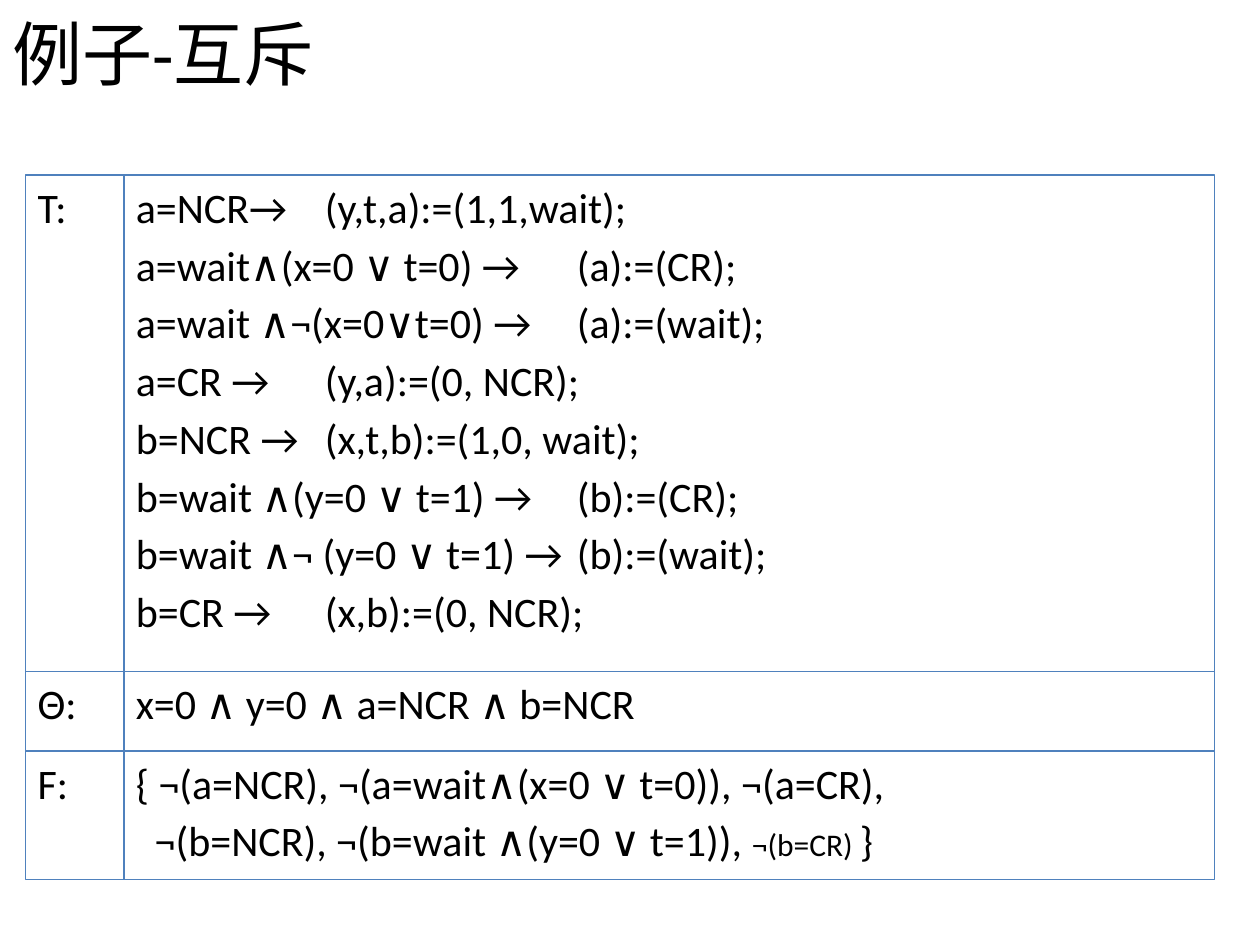
from lxml.etree import SubElement
from pptx import Presentation
from pptx.dml.color import RGBColor as Rgb
from pptx.enum.shapes import MSO_SHAPE as Preset
from pptx.enum.text import MSO_ANCHOR as Anchor, PP_ALIGN as Align
from pptx.oxml.ns import qn
from pptx.util import Inches, Pt

COLORS = {"ink": "000000", "rule": "4F81BD"}
FONT = "Calibri"
NEAR, FAR = 3.38, 4.38

deck = Presentation()
deck.slide_width, deck.slide_height = Inches(10), Inches(7.5)
slide = deck.slides.add_slide(deck.slide_layouts[6])


def write(paragraph, text, size=24, before=0, tab=None, indent=0):
    props = paragraph._p.get_or_add_pPr()
    props.set("marL", str(Inches(indent)))
    props.set("indent", "0")
    if tab:
        stops = SubElement(props, qn("a:tabLst"))
        SubElement(stops, qn("a:tab"), pos=str(Inches(tab)), algn="l")
    paragraph.alignment = Align.LEFT
    paragraph.space_before = Pt(before)
    run = paragraph.add_run()
    run.text = text
    run.font.size = Pt(size)
    run.font.name = FONT
    run.font.color.rgb = Rgb.from_string(COLORS["ink"])


title = slide.shapes.add_textbox(0, 0, deck.slide_width, Inches(0.84)).text_frame
title.word_wrap = True
title.vertical_anchor = Anchor.MIDDLE
write(title.paragraphs[0], "例子-互斥", size=40)

transitions = [
    ("a=NCR→\t(y,t,a):=(1,1,wait);", FAR),
    ("a=wait∧(x=0 ∨ t=0) →\t(a):=(CR);", NEAR),
    ("a=wait ∧¬(x=0∨t=0) →\t(a):=(wait);", NEAR),
    ("a=CR →\t(y,a):=(0, NCR);", FAR),
    ("b=NCR →\t(x,t,b):=(1,0, wait);", FAR),
    ("b=wait ∧(y=0 ∨ t=1) →\t(b):=(CR);", NEAR),
    ("b=wait ∧¬ (y=0 ∨ t=1) →\t(b):=(wait);", FAR),
    ("b=CR →\t(x,b):=(0, NCR);", FAR),
]
sections = [
    ("T:", 3.94, [([(text, 24)], {"tab": tab}) for text, tab in transitions]),
    ("Θ:", 0.63, [([("x=0 ∧ y=0 ∧ a=NCR ∧ b=NCR", 24)], {})]),
    ("F:", 1.02, [
        ([("{ ¬(a=NCR), ¬(a=wait∧(x=0 ∨ t=0)), ¬(a=CR),", 24)], {}),
        ([("¬(b=NCR), ¬(b=wait ∧(y=0 ∨ t=1)), ", 24), ("¬(b=CR) ", 18), ("}", 24)],
         {"indent": 0.15}),
    ]),
]
columns = [(0.2, 0.79), (0.98, 8.66)]

top = 1.39
for label, height, formulas in sections:
    for (left, width), lines in zip(columns, ([([(label, 24)], {})], formulas)):
        cell = slide.shapes.add_shape(
            Preset.RECTANGLE, Inches(left), Inches(top), Inches(width), Inches(height))
        cell.shadow.inherit = False
        cell.fill.background()
        cell.line.color.rgb = Rgb.from_string(COLORS["rule"])
        cell.line.width = Pt(0.75)
        frame = cell.text_frame
        frame.word_wrap = True
        frame.vertical_anchor = Anchor.TOP
        for number, (pieces, layout) in enumerate(lines):
            paragraph = frame.add_paragraph() if number else frame.paragraphs[0]
            for position, (text, size) in enumerate(pieces):
                options = layout if position == 0 else {"indent": layout.get("indent", 0)}
                write(paragraph, text, size=size, before=4.2 if number else 0, **options)
    top += height

deck.save("out.pptx")
